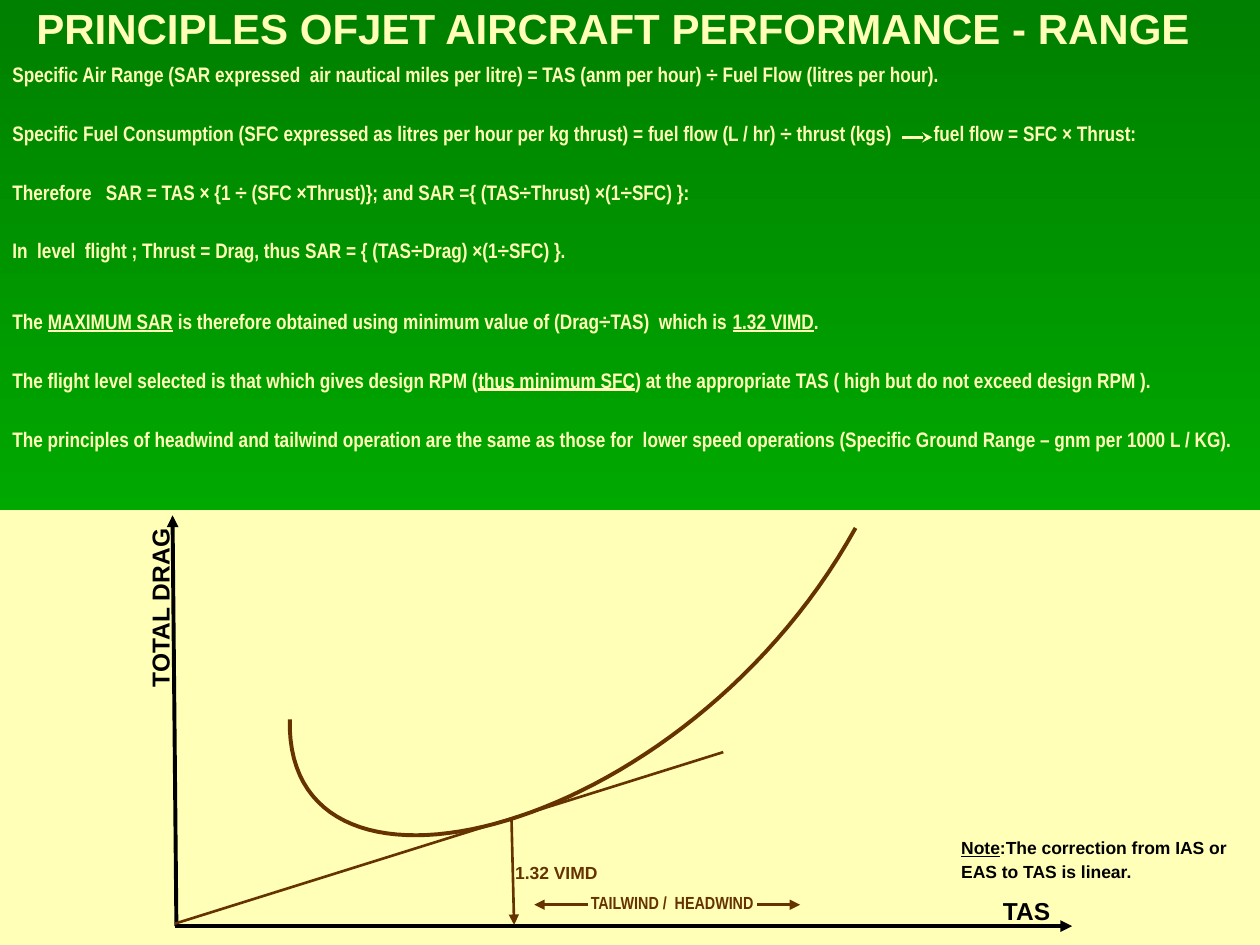
from dataclasses import dataclass

from lxml import etree
from pptx import Presentation
from pptx.dml.color import RGBColor
from pptx.enum.shapes import MSO_CONNECTOR, MSO_SHAPE
from pptx.oxml.ns import qn
from pptx.util import Pt

STRAIGHT = MSO_CONNECTOR.STRAIGHT
RECTANGLE = MSO_SHAPE.RECTANGLE
COLOURS = {
    "top": "008000",
    "bottom": "00CC00",
    "cream": "FFFFB7",
    "brown": "663300",
    "black": "000000",
}


@dataclass
class Label:
    """A text box; underscores in its paragraphs enclose underlined words."""

    left: float
    top: float
    width: float
    height: float
    paragraphs: list[str]
    size: float
    colour: str
    font: str = "Arial"
    space_before: float = 0
    rotation: float = 0
    tabs: tuple[float, ...] = ()


@dataclass
class Line:
    """A straight line with an optional arrowhead at its end."""

    start: tuple[float, float]
    end: tuple[float, float]
    colour: str
    width: float = 1.5
    head: str = ""


STATEMENTS = [
    "Specific Air Range (SAR expressed  air nautical miles per litre) = TAS (anm per hour) ÷ Fuel Flow (litres per hour).",
    "Specific Fuel Consumption (SFC expressed as litres per hour per kg thrust) = fuel flow (L / hr) ÷ thrust (kgs)\tfuel flow = SFC × Thrust:",
    "Therefore\tSAR = TAS × {1 ÷ (SFC ×Thrust)}; and SAR ={ (TAS÷Thrust) ×(1÷SFC) }:",
    "In  level  flight ; Thrust = Drag, thus SAR = { (TAS÷Drag) ×(1÷SFC) }.",
]
CONCLUSIONS = [
    "The _MAXIMUM SAR_ is therefore obtained using minimum value of (Drag÷TAS)  which is _1.32 VIMD_.",
    "The flight level selected is that which gives design RPM (_thus minimum SFC_) at the appropriate TAS ( high but do not exceed design RPM ).",
    "The principles of headwind and tailwind operation are the same as those for  lower speed operations (Specific Ground Range – gnm per 1000 L / KG).",
]
NOTE = ["_Note_:The correction from IAS or", "EAS to TAS is linear."]
NARROW = "Arial Narrow"
LABELS = [
    Label(13.7, -2.2, 688, 36, ["PRINCIPLES OFJET AIRCRAFT PERFORMANCE - RANGE"], 24, "cream"),
    Label(0, 31.7, 720, 125, STATEMENTS, 12, "cream", NARROW, 19.2, tabs=(53.4, 526.5)),
    Label(0, 172.8, 720, 125, CONCLUSIONS, 12, "cream", NARROW, 19.2),
    Label(38.2, 334.8, 106, 23.8, ["TOTAL DRAG"], 14, "black", rotation=270),
    Label(566, 508.3, 46, 23.8, ["TAS"], 14, "black"),
    Label(287.3, 488.9, 66, 19.4, ["1.32 VIMD"], 10, "brown"),
    Label(542.2, 474.5, 169, 33.8, NOTE, 10, "black", space_before=2),
    Label(330.5, 506.2, 112, 19.4, ["TAILWIND /  HEADWIND"], 10, "brown", NARROW),
]
LINES = [
    Line((100, 529.2), (612.7, 529.2), "black", 2.25, "triangle"),
    Line((100.8, 529.2), (98.6, 294.5), "black", 2.25, "triangle"),
    Line((100, 527.8), (413.3, 429.8), "brown"),
    Line((292.3, 468), (293.8, 528.5), "brown", head="triangle"),
    Line((432.7, 517), (457.2, 517), "brown", head="triangle"),
    Line((336.2, 517), (305.3, 517), "brown", head="triangle"),
    Line((515.5, 78.5), (532.8, 78.5), "cream", head="stealth"),
]
DRAG_CURVE = [(165.6, 411.1), (162.7, 535), (391.7, 477.4), (488.9, 301.7)]
CURVE_STEPS = 60


def rgb(name: str) -> RGBColor:
    """Return the named colour."""
    return RGBColor.from_string(COLOURS[name])


def paint_background(slide) -> None:
    """Fill the slide with a gradient running downwards."""
    fill = slide.background.fill
    fill.gradient()
    fill.gradient_angle = 270
    for stop, name, position in zip(fill.gradient_stops, ("top", "bottom"), (0, 1)):
        stop.color.rgb = rgb(name)
        stop.position = position


def add_panel(slide) -> None:
    """Add the pale panel behind the graph."""
    panel = slide.shapes.add_shape(RECTANGLE, Pt(0), Pt(291.6), Pt(720), Pt(248.4))
    panel.shadow.inherit = False
    panel.fill.solid()
    panel.fill.fore_color.rgb = rgb("cream")
    panel.line.color.rgb = rgb("cream")
    panel.line.width = Pt(0.75)


def add_label(slide, label: Label) -> None:
    """Add one text box with its paragraphs."""
    box = slide.shapes.add_textbox(
        Pt(label.left), Pt(label.top), Pt(label.width), Pt(label.height)
    )
    box.rotation = label.rotation
    frame = box.text_frame
    frame.word_wrap = True
    for index, text in enumerate(label.paragraphs):
        paragraph = frame.add_paragraph() if index else frame.paragraphs[0]
        if label.tabs:
            properties = paragraph._p.get_or_add_pPr()
            tab_list = etree.SubElement(properties, qn("a:tabLst"))
            for position in label.tabs:
                etree.SubElement(tab_list, qn("a:tab"), pos=str(Pt(position)), algn="l")
        if index:
            paragraph.space_before = Pt(label.space_before)
        font = paragraph.font
        font.name = label.font
        font.size = Pt(label.size)
        font.bold = True
        font.color.rgb = rgb(label.colour)
        for part, words in enumerate(text.split("_")):
            if words:
                run = paragraph.add_run()
                run.text = words
                if part % 2:
                    run.font.underline = True


def add_line(slide, line: Line) -> None:
    """Add one connector with its arrowhead."""
    connector = slide.shapes.add_connector(
        STRAIGHT, *(Pt(value) for value in line.start + line.end)
    )
    connector.line.color.rgb = rgb(line.colour)
    connector.line.width = Pt(line.width)
    properties = connector._element.spPr
    if line.head:
        etree.SubElement(properties.find(qn("a:ln")), qn("a:tailEnd"), type=line.head)
    etree.SubElement(properties, qn("a:effectLst"))


def bezier_point(step: int) -> tuple[int, int]:
    """Return the point of the drag curve at one step."""
    t = step / CURVE_STEPS
    weights = ((1 - t) ** 3, 3 * t * (1 - t) ** 2, 3 * t**2 * (1 - t), t**3)
    x, y = (sum(w * v for w, v in zip(weights, axis)) for axis in zip(*DRAG_CURVE))
    return Pt(x), Pt(y)


def add_drag_curve(slide) -> None:
    """Add the total drag curve as an open outline."""
    points = [bezier_point(step) for step in range(CURVE_STEPS + 1)]
    builder = slide.shapes.build_freeform(*points[0])
    builder.add_line_segments(points[1:], close=False)
    curve = builder.convert_to_shape()
    curve.shadow.inherit = False
    curve.fill.background()
    curve.line.color.rgb = rgb("brown")
    curve.line.width = Pt(2.25)


def main() -> None:
    """Build and save the slide."""
    presentation = Presentation()
    presentation.slide_width = Pt(720)
    presentation.slide_height = Pt(540)
    slide = presentation.slides.add_slide(presentation.slide_layouts[6])
    paint_background(slide)
    add_panel(slide)
    add_drag_curve(slide)
    for line in LINES:
        add_line(slide, line)
    for label in LABELS:
        add_label(slide, label)
    presentation.save("out.pptx")


if __name__ == "__main__":
    main()
